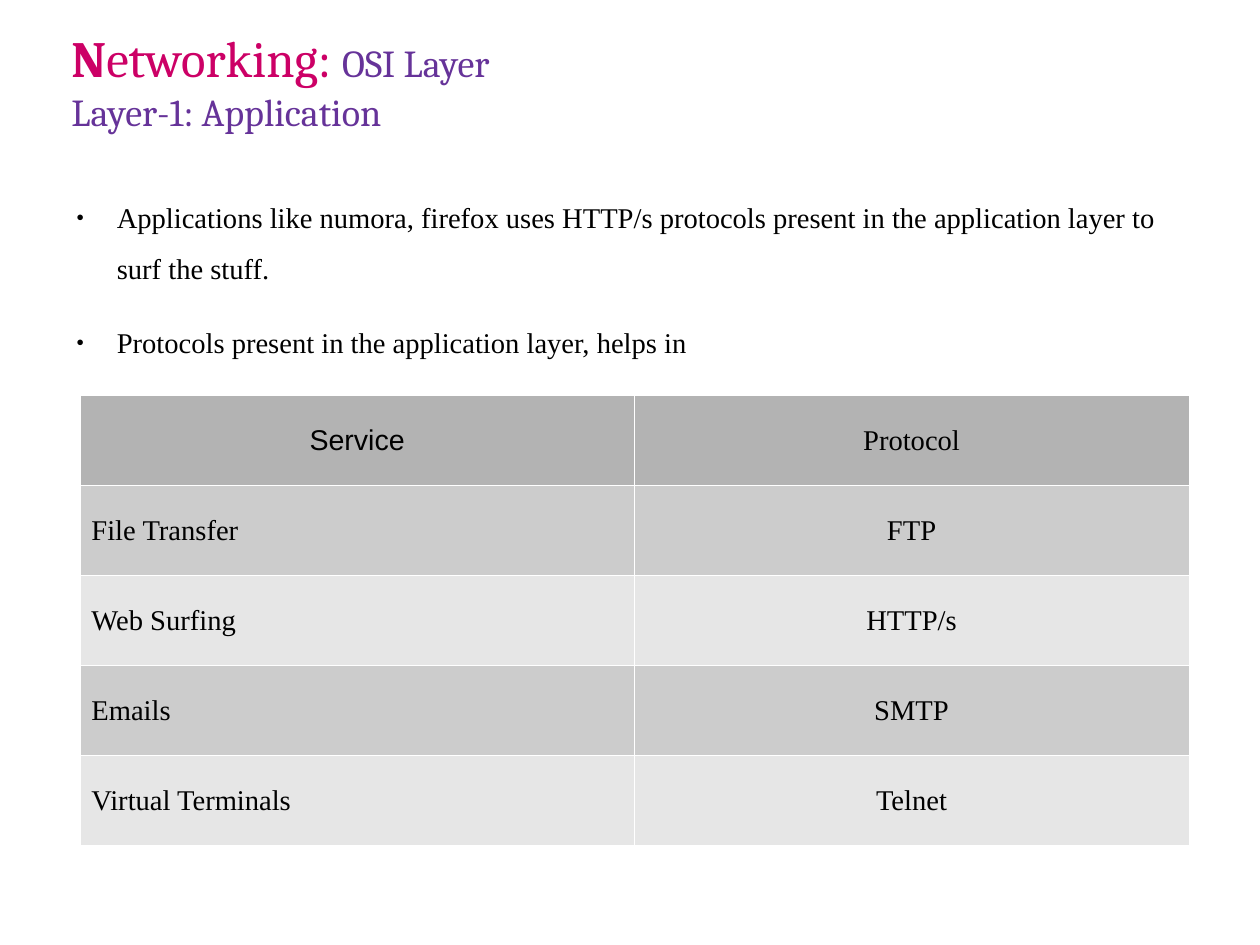
from dataclasses import dataclass

from lxml import etree
from pptx import Presentation
from pptx import util as u
from pptx.dml.color import RGBColor
from pptx.enum import text
from pptx.oxml import ns


@dataclass(frozen=True)
class Theme:
    accent: str = "CC0066"
    heading: str = "663399"
    ink: str = "000000"
    border: str = "FFFFFF"
    header_fill: str = "B3B3B3"
    band_fills: tuple = ("CCCCCC", "E6E6E6")
    title_font: str = "Cambria"
    body_font: str = "Times New Roman"
    header_font: str = "Arial"
    title_size: int = 32
    subtitle_size: int = 24
    body_size: int = 18


def add_xml(parent, tag, **attributes):
    return etree.SubElement(parent, ns.qn(tag), attributes)


class SlideBuilder:
    def __init__(self, page, theme):
        self.page = page
        self.theme = theme

    def add_span(self, para, words, font=None, size=None, color=None, bold=False):
        span = para.add_run()
        span.text = words
        span.font.name = font or self.theme.body_font
        span.font.size = u.Pt(size or self.theme.body_size)
        span.font.bold = bold
        span.font.color.rgb = RGBColor.from_string(color or self.theme.ink)

    def clear_margins(self, frame):
        frame.margin_left = frame.margin_right = u.Pt(0)
        frame.margin_top = frame.margin_bottom = u.Pt(0)
        frame.word_wrap = True
        frame.auto_size = text.MSO_AUTO_SIZE.NONE

    def title(self, left, top, width, height, lines):
        """Fill the title; each line is a list of (words, size, color, bold)."""
        box = self.page.shapes.title
        box.left, box.top = u.Pt(left), u.Pt(top)
        box.width, box.height = u.Pt(width), u.Pt(height)
        frame = box.text_frame
        self.clear_margins(frame)
        frame.vertical_anchor = text.MSO_ANCHOR.MIDDLE
        para = frame.paragraphs[0]
        para.alignment = text.PP_ALIGN.LEFT
        for number, line in enumerate(lines):
            if number:
                para.add_line_break()
            for words, size, color, bold in line:
                self.add_span(para, words, self.theme.title_font, size, color, bold)

    def bullets(self, left, top, width, height, items):
        box = self.page.shapes.add_textbox(
            u.Pt(left), u.Pt(top), u.Pt(width), u.Pt(height))
        frame = box.text_frame
        self.clear_margins(frame)
        for number, words in enumerate(items):
            para = frame.add_paragraph() if number else frame.paragraphs[0]
            properties = para._p.get_or_add_pPr()
            properties.set("marL", str(u.Pt(34)))
            properties.set("indent", str(-u.Pt(25.5)))
            add_xml(add_xml(properties, "a:buClr"), "a:srgbClr", val=self.theme.ink)
            add_xml(properties, "a:buSzPct", val="45000")
            add_xml(properties, "a:buFont", typeface=self.theme.body_font)
            add_xml(properties, "a:buChar", char="●")
            para.line_spacing = 1.5
            para.space_after = u.Pt(14.2)
            self.add_span(para, words)

    def add_borders(self, cell):
        properties = cell._tc.get_or_add_tcPr()
        for side in ("a:lnL", "a:lnR", "a:lnT", "a:lnB"):
            line = add_xml(properties, side, w=str(u.Pt(0.06)))
            add_xml(add_xml(line, "a:solidFill"), "a:srgbClr", val=self.theme.border)

    def table(self, left, top, column_width, row_height, rows):
        columns = len(rows[0])
        table = self.page.shapes.add_table(
            len(rows), columns, u.Pt(left), u.Pt(top),
            u.Pt(column_width * columns), u.Pt(row_height * len(rows))).table
        table.first_row = table.horz_banding = False
        for column in table.columns:
            column.width = u.Pt(column_width)
        for r, row in enumerate(rows):
            table.rows[r].height = u.Pt(row_height)
            fill = self.theme.band_fills[(r - 1) % 2] if r else self.theme.header_fill
            for c, words in enumerate(row):
                cell = table.cell(r, c)
                self.add_borders(cell)
                cell.fill.solid()
                cell.fill.fore_color.rgb = RGBColor.from_string(fill)
                cell.vertical_anchor = text.MSO_ANCHOR.MIDDLE
                para = cell.text_frame.paragraphs[0]
                service = r > 0 and c == 0
                para.alignment = text.PP_ALIGN.LEFT if service else text.PP_ALIGN.CENTER
                corner = r == 0 and c == 0
                self.add_span(para, words, self.theme.header_font if corner else None)


def main():
    deck = Presentation()
    deck.slide_width, deck.slide_height = u.Pt(793.7), u.Pt(595.28)
    theme = Theme()
    title_only = deck.slide_layouts.get_by_name("Title Only")
    slide = SlideBuilder(deck.slides.add_slide(title_only), theme)
    slide.title(45, 0.9, 709.2, 99.36, [
        [("N", theme.title_size, theme.accent, True),
         ("etworking: ", theme.title_size, theme.accent, False),
         ("OSI Layer", theme.subtitle_size, theme.heading, False)],
        [("Layer-1: Application", theme.subtitle_size, theme.heading, False)],
    ])
    slide.bullets(39.6, 115, 714.24, 409.68, [
        "Applications like numora, firefox uses HTTP/s protocols present in "
        "the application layer to surf the stuff.",
        "Protocols present in the application layer, helps in",
    ])
    slide.table(50.4, 249, 349.2, 56.7, [
        ("Service", "Protocol"),
        ("File Transfer", "FTP"),
        ("Web Surfing", "HTTP/s"),
        ("Emails", "SMTP"),
        ("Virtual Terminals", "Telnet"),
    ])
    deck.save("out.pptx")


if __name__ == "__main__":
    main()
